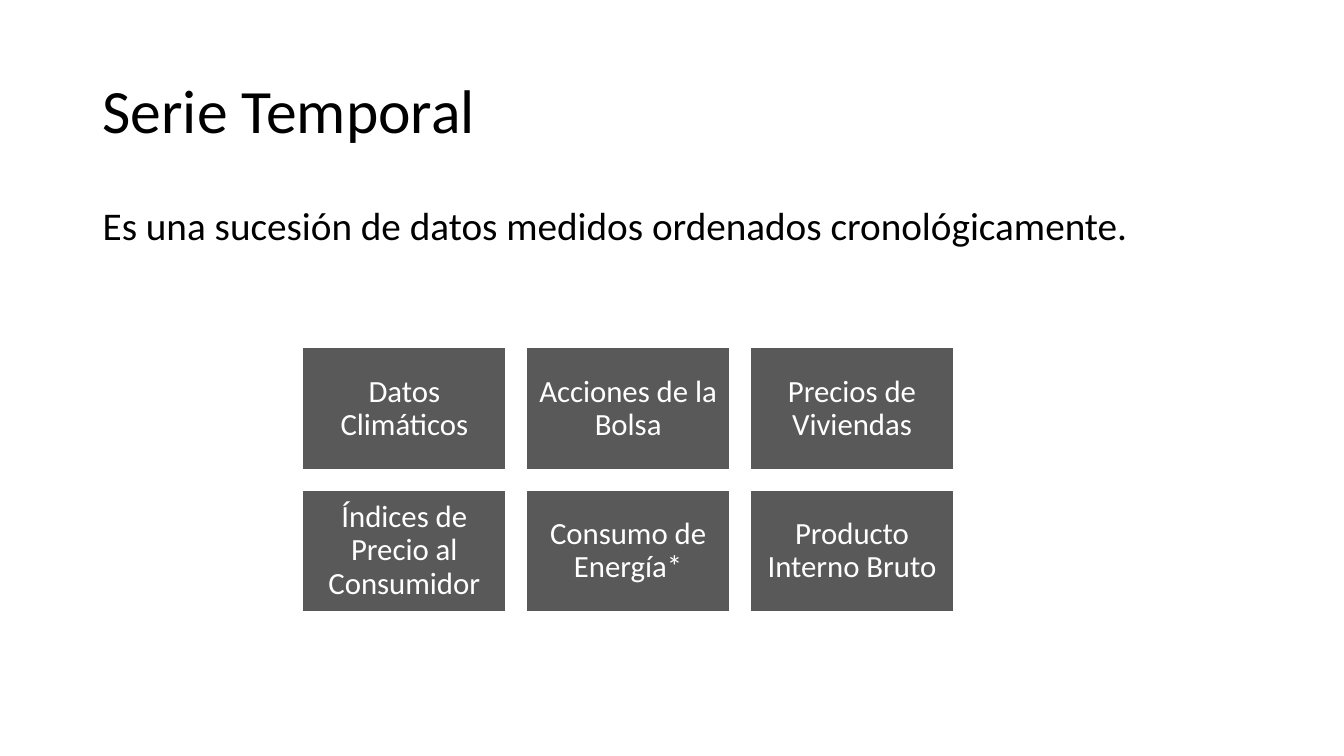
from dataclasses import dataclass

import pptx
import pptx.dml.color
import pptx.enum.shapes
import pptx.enum.text
import pptx.util

Inches = pptx.util.Inches
Pt = pptx.util.Pt
Align = pptx.enum.text.PP_ALIGN
Anchor = pptx.enum.text.MSO_ANCHOR


@dataclass
class Block:
    text: str
    left: float
    top: float
    width: float
    height: float
    size: int
    color: str = "000000"
    align: Align = Align.LEFT
    anchor: Anchor = Anchor.TOP
    space_before: int = 0
    side_margin: float = 0.1
    end_margin: float = 0.05
    fill: str = ""


def rgb(value: str) -> pptx.dml.color.RGBColor:
    return pptx.dml.color.RGBColor.from_string(value)


def apply_format(target: object, values: dict) -> None:
    for name, value in values.items():
        setattr(target, name, value)


def draw_block(slide: pptx.slide.Slide, block: Block) -> None:
    area = [Inches(n) for n in (block.left, block.top, block.width, block.height)]
    if block.fill:
        box = slide.shapes.add_shape(pptx.enum.shapes.MSO_SHAPE.RECTANGLE, *area)
        box.shadow.inherit = False
        box.fill.solid()
        box.fill.fore_color.rgb = rgb(block.fill)
        box.line.color.rgb = rgb("FFFFFF")
        box.line.width = Pt(1)
    else:
        box = slide.shapes.add_textbox(*area)

    frame = box.text_frame
    apply_format(frame, {
        "word_wrap": True,
        "vertical_anchor": block.anchor,
        "margin_left": Inches(block.side_margin),
        "margin_right": Inches(block.side_margin),
        "margin_top": Inches(block.end_margin),
        "margin_bottom": Inches(block.end_margin),
    })
    paragraph = frame.paragraphs[0]
    apply_format(paragraph, {
        "alignment": block.align,
        "line_spacing": 0.9,
        "space_before": Pt(block.space_before),
    })
    run = paragraph.add_run()
    run.text = block.text
    apply_format(run.font, {"name": "Calibri", "size": Pt(block.size)})
    run.font.color.rgb = rgb(block.color)


# Heading and definition
HEADING = Block("Serie Temporal", 0.92, 0.4, 11.5, 1.45, 44, anchor=Anchor.MIDDLE)
DEFINITION = Block("Es una sucesión de datos medidos ordenados cronológicamente.",
                   0.92, 2, 11.5, 4.76, 28, space_before=10)

# Grid of examples
EXAMPLES = [
    "Datos Climáticos", "Acciones de la Bolsa", "Precios de Viviendas",
    "Índices de Precio al Consumidor", "Consumo de Energía*", "Producto Interno Bruto",
]
COLUMNS = 3
GRID_LEFT, GRID_TOP = 3, 3.45
TILE_WIDTH, TILE_HEIGHT = 2.02, 1.21
GAP = 0.2


def example_tile(index: int, text: str) -> Block:
    row, column = divmod(index, COLUMNS)
    return Block(text,
                 GRID_LEFT + column * (TILE_WIDTH + GAP),
                 GRID_TOP + row * (TILE_HEIGHT + GAP),
                 TILE_WIDTH, TILE_HEIGHT, 22, "FFFFFF", Align.CENTER, Anchor.MIDDLE,
                 side_margin=0.09, end_margin=0.09, fill="595959")


def main() -> None:
    deck = pptx.Presentation()
    deck.slide_width, deck.slide_height = Inches(13.33), Inches(7.5)
    slide = deck.slides.add_slide(deck.slide_layouts[6])
    tiles = [example_tile(index, text) for index, text in enumerate(EXAMPLES)]
    for block in [HEADING, DEFINITION, *tiles]:
        draw_block(slide, block)
    deck.save("out.pptx")


if __name__ == "__main__":
    main()
